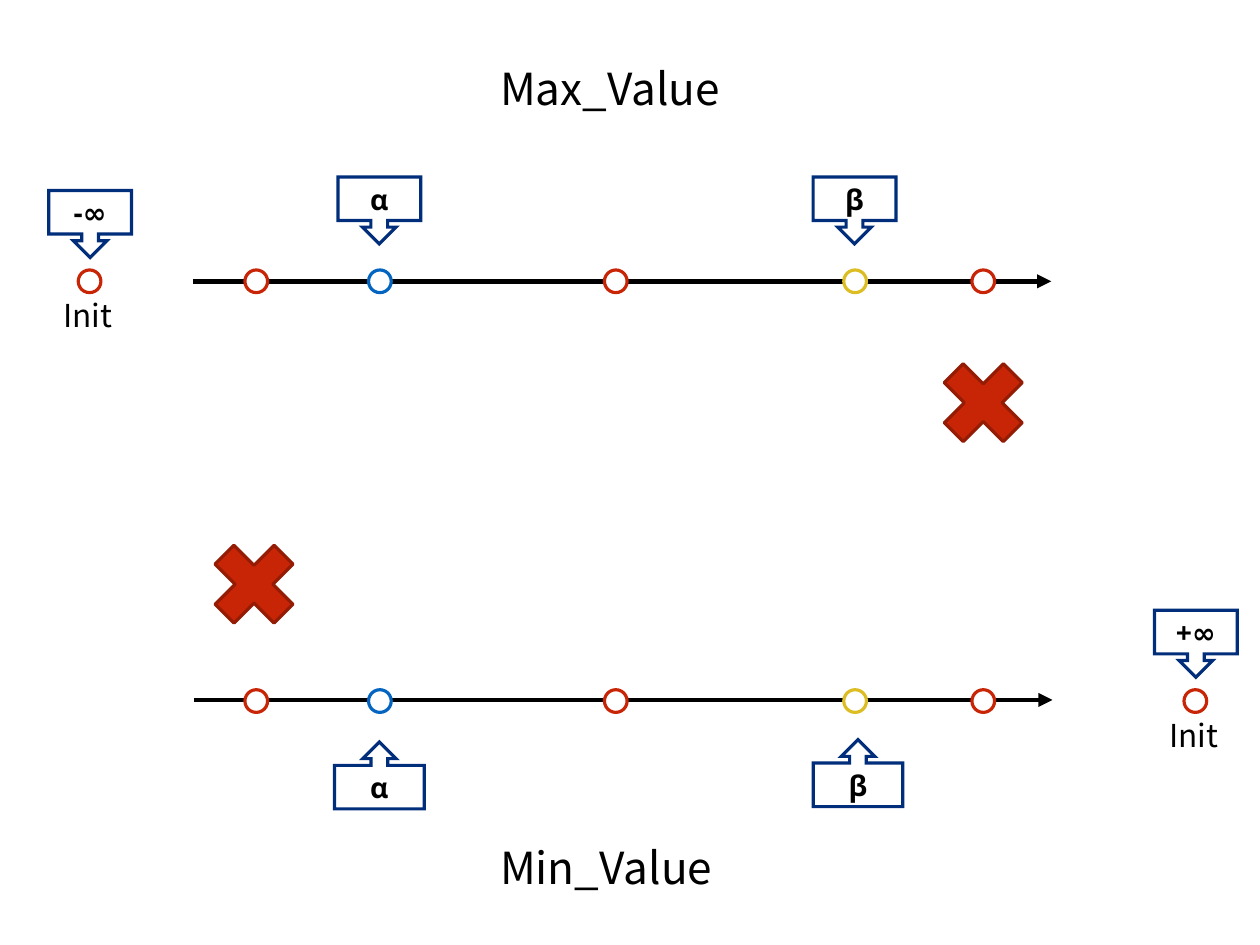
import pptx
import pptx.dml.color
import pptx.enum.shapes
import pptx.enum.text
import pptx.oxml
import pptx.oxml.ns
import pptx.util

PX = 9144
SHAPES = pptx.enum.shapes.MSO_SHAPE
COLOURS = {
    "ink": "000000",
    "paper": "FFFFFF",
    "value": "C82506",
    "alpha": "0365C0",
    "beta": "DCBD23",
    "callout": "002E7A",
    "cross edge": "941B04",
}
LABEL_FONT = {"name": "Noto Sans", "size": pptx.util.Pt(18), "bold": True}
TITLE_FONT = {"name": "Noto Sans CJK SC", "size": pptx.util.Pt(28)}
INIT_FONT = {"name": "Noto Sans CJK SC", "size": pptx.util.Pt(20)}


def emu(*lengths):
    return [length * PX for length in lengths]


def rgb(colour):
    return pptx.dml.color.RGBColor.from_string(COLOURS[colour])


def add_xml(parent, tag):
    pptx.oxml.ns.qn(tag)
    xml = f"<{tag} {pptx.oxml.ns.nsdecls('a')}/>"
    element = pptx.oxml.parse_xml(xml)
    parent.append(element)
    return element


def write(frame, words, font, margin, wrap, align):
    layout = {
        "word_wrap": wrap,
        "auto_size": pptx.enum.text.MSO_AUTO_SIZE.NONE,
        "vertical_anchor": pptx.enum.text.MSO_ANCHOR.MIDDLE,
    }
    for side in ("left", "top", "right", "bottom"):
        layout[f"margin_{side}"] = margin * PX
    for key, value in layout.items():
        setattr(frame, key, value)
    paragraph = frame.paragraphs[0]
    paragraph.alignment = align
    run = paragraph.add_run()
    run.text = words
    for key, value in font.items():
        setattr(run.font, key, value)
    run.font.color.rgb = rgb("ink")


def add_outlined(slide, kind, box, edge, fill=None):
    outlined = slide.shapes.add_shape(kind, *emu(*box))
    outlined.shadow.inherit = False
    if fill:
        outlined.fill.solid()
        outlined.fill.fore_color.rgb = rgb(fill)
    else:
        outlined.fill.background()
    outlined.line.color.rgb = rgb(edge)
    outlined.line.width = pptx.util.Pt(2)
    return outlined


def add_axis(slide, left, right, y):
    axis = slide.shapes.add_connector(
        pptx.enum.shapes.MSO_CONNECTOR.STRAIGHT, *emu(left, y, right, y))
    axis.line.color.rgb = rgb("ink")
    axis.line.width = pptx.util.Pt(3)
    add_xml(axis.line._get_or_add_ln(), "a:tailEnd").set("type", "triangle")
    add_xml(axis._element.spPr, "a:effectLst")


def add_point(slide, left, top, colour):
    add_outlined(slide, SHAPES.OVAL, (left, top, 20, 20), colour, "paper")


def add_callout(slide, kind, left, top, width, words):
    callout = add_outlined(slide, kind, (left, top, width, 59), "callout")
    add_xml(callout.line._get_or_add_ln(), "a:miter").set("lim", "400000")
    write(callout.text_frame, words, LABEL_FONT, 4, True,
          pptx.enum.text.PP_ALIGN.CENTER)


def add_caption(slide, box, words, font):
    caption = slide.shapes.add_textbox(*emu(*box))
    write(caption.text_frame, words, font, 6, False,
          pptx.enum.text.PP_ALIGN.LEFT)


def add_cross(slide, left, top):
    add_outlined(slide, SHAPES.MATH_MULTIPLY, (left, top, 100, 100),
                 "cross edge", "value")


def main():
    deck = pptx.Presentation()
    deck.slide_width, deck.slide_height = emu(1111, 833)
    slide = deck.slides.add_slide(deck.slide_layouts[6])

    add_axis(slide, 170, 927, 248)
    add_axis(slide, 171, 928, 617)

    points = [(216, "value"), (325, "alpha"), (533, "value"),
              (744, "beta"), (857, "value")]
    for top in (238, 608):
        for left, colour in points:
            add_point(slide, left, top, colour)

    down, up = SHAPES.DOWN_ARROW_CALLOUT, SHAPES.UP_ARROW_CALLOUT
    for kind, left, top, width, words in [
        (down, 298, 156, 73, "α"),
        (down, 717, 156, 73, "β"),
        (up, 295, 654, 79, "α"),
        (up, 717, 652, 79, "β"),
    ]:
        add_callout(slide, kind, left, top, width, words)

    for left, top, bound in [(43, 168, "-∞"), (1018, 538, "+∞")]:
        add_callout(slide, down, left, top, 73, bound)
        add_point(slide, left + 26, top + 70, "value")
        add_caption(slide, (left + 7, top + 87, 55, 45), "Init", INIT_FONT)

    add_caption(slide, (435, 48, 215, 58), "Max_Value", TITLE_FONT)
    add_caption(slide, (435, 735, 209, 58), "Min_Value", TITLE_FONT)

    add_cross(slide, 174, 465)
    add_cross(slide, 817, 305)

    deck.save("out.pptx")


if __name__ == "__main__":
    main()
